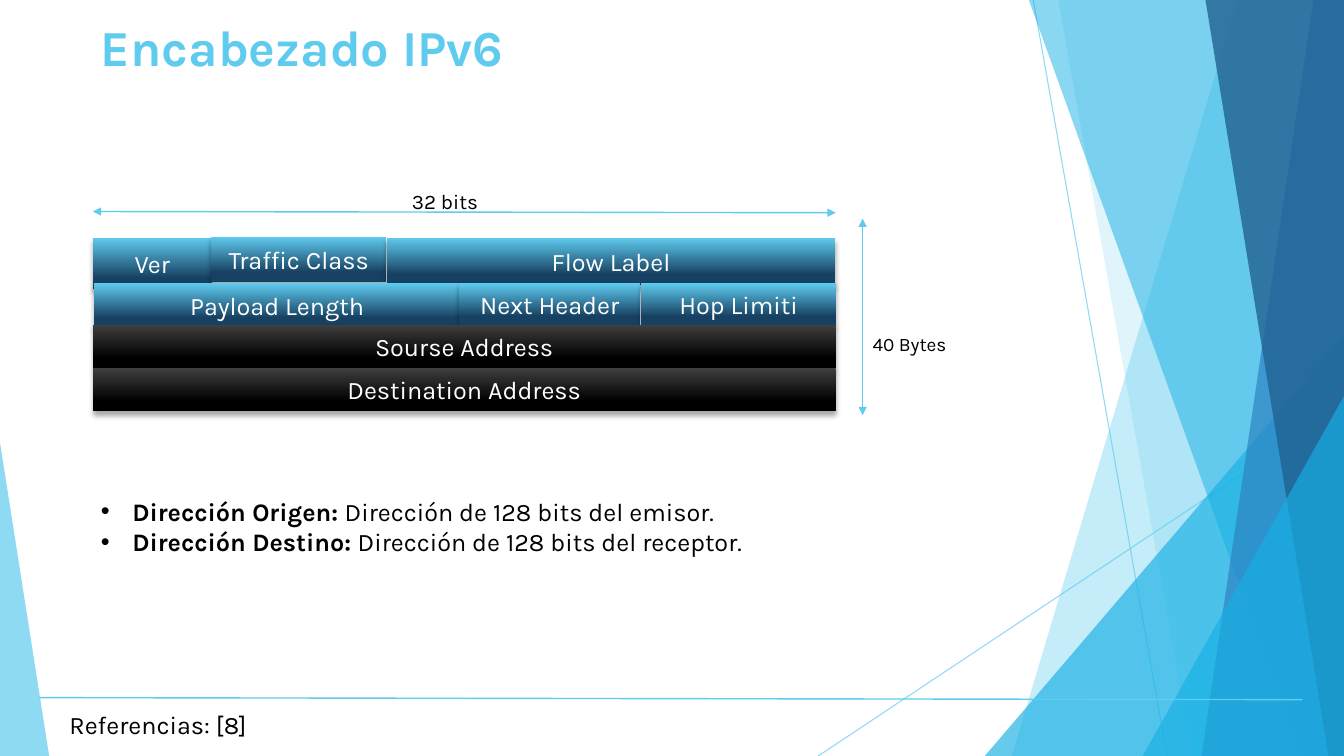
"""Build the slide that explains the IPv6 header."""
from dataclasses import dataclass

from lxml.etree import SubElement
from pptx import Presentation
from pptx.dml.color import RGBColor
from pptx.enum.shapes import MSO_CONNECTOR as Connector, MSO_SHAPE as Shape
from pptx.enum.text import MSO_ANCHOR as Anchor, MSO_AUTO_SIZE as AutoSize, PP_ALIGN as Align
from pptx.oxml.ns import qn
from pptx.util import Cm, Pt

WIDTH, HEIGHT = 33.87, 19.05


@dataclass(frozen=True)
class Theme:
    font: str = "Karla"
    sky: str = "5FCBEF"
    cyan: str = "17B0E4"
    blue: str = "2E83C3"
    navy: str = "226292"
    text: str = "000000"
    inverse: str = "FFFFFF"
    blue_gradient: tuple = ("5FCBEF", "174162")
    black_gradient: tuple = ("3F3F3F", "000000")
    title_size: float = 36
    body_size: float = 18
    width_label_size: float = 14.8
    height_label_size: float = 13.6


class HeaderSlide:
    def __init__(self, slide, theme):
        self.slide = slide
        self.shapes = slide.shapes
        self.theme = theme

    def style(self, paragraph, size, color, bold=False):
        font = paragraph.font
        font.name = self.theme.font
        font.size = Pt(size)
        font.bold = bold
        font.color.rgb = RGBColor.from_string(color)

    def place(self, shape, left, top, width, height):
        shape.left, shape.top = Cm(left), Cm(top)
        shape.width, shape.height = Cm(width), Cm(height)

    def set_opacity(self, shape, percent):
        for color in shape._element.spPr.iter(qn("a:srgbClr")):
            SubElement(color, qn("a:alpha"), val=str(percent * 1000))

    def paint(self, shape, color, opacity):
        shape.shadow.inherit = False
        shape.fill.solid()
        shape.fill.fore_color.rgb = RGBColor.from_string(color)
        shape.line.fill.background()
        self.set_opacity(shape, opacity)

    def band(self, top_x, bottom_x, color, opacity):
        builder = self.shapes.build_freeform(Cm(top_x), Cm(0), scale=1.0)
        corners = [(WIDTH, 0), (WIDTH, HEIGHT), (bottom_x, HEIGHT)]
        builder.add_line_segments([(Cm(x), Cm(y)) for x, y in corners], close=True)
        self.paint(builder.convert_to_shape(), color, opacity)

    def triangle(self, left, top, width, apex, color, opacity):
        shape = self.shapes.add_shape(
            Shape.ISOSCELES_TRIANGLE, Cm(left), Cm(top), Cm(width), Cm(HEIGHT - top))
        shape.adjustments[0] = apex
        self.paint(shape, color, opacity)

    def line(self, start, end, weight=1, opacity=100, arrows=False):
        points = [Cm(value) for value in (*start, *end)]
        connector = self.shapes.add_connector(Connector.STRAIGHT, *points)
        connector.line.width = Pt(weight)
        connector.line.color.rgb = RGBColor.from_string(self.theme.sky)
        if opacity < 100:
            self.set_opacity(connector, opacity)
        if arrows:
            outline = connector.line._get_or_add_ln()
            for tag in ("a:headEnd", "a:tailEnd"):
                SubElement(outline, qn(tag), type="triangle")
        SubElement(connector._element.spPr, qn("a:effectLst"))

    def field(self, text, left, top, width, height, gradient):
        shape = self.shapes.add_shape(
            Shape.RECTANGLE, Cm(left), Cm(top), Cm(width), Cm(height))
        shape.fill.gradient()
        shape.fill.gradient_angle = 270
        for stop, position, color in zip(shape.fill.gradient_stops, (0, 0.78), gradient):
            stop.position = position
            stop.color.rgb = RGBColor.from_string(color)
        shape.line.fill.background()
        shape.shadow.inherit = False
        effects = shape._element.spPr.find(qn("a:effectLst"))
        shadow = SubElement(effects, qn("a:outerShdw"), blurRad=str(Pt(4)),
                            dist=str(Pt(3)), dir="5400000", rotWithShape="0")
        color = SubElement(shadow, qn("a:srgbClr"), val=self.theme.text)
        SubElement(color, qn("a:alpha"), val="35000")
        shape.text_frame.vertical_anchor = Anchor.MIDDLE
        paragraph = shape.text_frame.paragraphs[0]
        paragraph.text = text
        paragraph.alignment = Align.CENTER
        self.style(paragraph, self.theme.body_size, self.theme.inverse)

    def text_box(self, text, left, top, width, height, size, wrap=True):
        box = self.shapes.add_textbox(Cm(left), Cm(top), Cm(width), Cm(height))
        box.text_frame.word_wrap = wrap
        paragraph = box.text_frame.paragraphs[0]
        paragraph.text = text
        self.style(paragraph, size, self.theme.text)
        return box

    def measure(self, text, left, top, size):
        box = self.text_box(text, left, top, 2.44, 0.71, size)
        paragraph = box.text_frame.paragraphs[0]
        paragraph.line_spacing = 0.7
        paragraph.space_before = Pt(10)

    def title(self, text):
        title = self.shapes.title
        self.place(title, 2.29, 0.28, 29.21, 3.68)
        title.text_frame.vertical_anchor = Anchor.TOP
        paragraph = title.text_frame.paragraphs[0]
        paragraph.text = text
        paragraph.alignment = Align.LEFT
        self.style(paragraph, self.theme.title_size, self.theme.sky, bold=True)

    def definitions(self, entries):
        body = self.slide.placeholders[1]
        self.place(body, 2.29, 12.37, 21.84, 1.8)
        frame = body.text_frame
        frame.auto_size = AutoSize.SHAPE_TO_FIT_TEXT
        for index, (term, meaning) in enumerate(entries):
            paragraph = frame.add_paragraph() if index else frame.paragraphs[0]
            properties = paragraph._p.get_or_add_pPr()
            properties.set("marL", str(Cm(0.79)))
            properties.set("indent", str(Cm(-0.79)))
            SubElement(properties, qn("a:buChar"), char="•")
            paragraph.space_before = Pt(0)
            self.style(paragraph, self.theme.body_size, self.theme.text)
            label = paragraph.add_run()
            label.text = f"{term}: "
            label.font.bold = True
            paragraph.add_run().text = meaning


def draw_background(page, theme):
    page.line((26.04, 0), (29.41, HEIGHT), weight=0.75, opacity=70)
    page.line((WIDTH, 10.24), (20.62, HEIGHT), weight=0.75, opacity=70)
    page.band(31.19, 25.5, theme.sky, 36)
    page.band(26.67, 30.05, theme.sky, 20)
    page.triangle(24.82, 8.46, 9.05, 1, theme.cyan, 66)
    page.band(25.93, 32.79, theme.cyan, 50)
    page.band(33.1, 30.28, theme.blue, 70)
    page.band(30.38, 33.48, theme.navy, 80)
    page.triangle(28.8, 9.98, 5.07, 1, theme.cyan, 66)
    page.triangle(0, 11.15, 1.24, 0, theme.sky, 70)


def draw_header(page, theme):
    blue_fields = [
        ("Ver", 2.34, 5.99, 3, 1.3),
        ("Traffic Class", 5.33, 5.97, 4.4, 1.14),
        ("Flow Label", 9.75, 5.99, 11.3, 1.19),
        ("Payload Length", 2.36, 7.14, 9.25, 1.12),
        ("Next Header", 11.58, 7.14, 4.55, 1.07),
        ("Hop Limiti", 16.15, 7.14, 4.93, 1.07),
    ]
    for field in blue_fields:
        page.field(*field, theme.blue_gradient)
    for row, text in enumerate(("Sourse Address", "Destination Address")):
        page.field(text, 2.34, 8.18 + row * 1.09, 18.72, 1.09, theme.black_gradient)
    page.line((2.34, 5.33), (21.06, 5.36), arrows=True)
    page.measure("32 bits", 10.13, 4.8, theme.width_label_size)
    page.line((21.74, 5.51), (21.74, 10.46), arrows=True)
    page.measure("40 Bytes", 21.74, 8.41, theme.height_label_size)


def main():
    presentation = Presentation()
    presentation.slide_width, presentation.slide_height = Cm(WIDTH), Cm(HEIGHT)
    slide = presentation.slides.add_slide(presentation.slide_layouts[1])
    theme = Theme()
    page = HeaderSlide(slide, theme)
    draw_background(page, theme)
    page.title("Encabezado IPv6")
    page.line((0.99, 17.58), (32.82, 17.63))
    references = page.text_box(
        "Referencias: [8]", 1.5, 17.75, 5.08, 1.02, theme.body_size, wrap=False)
    references.text_frame.auto_size = AutoSize.SHAPE_TO_FIT_TEXT
    page.definitions([
        ("Dirección Origen", "Dirección de 128 bits del emisor."),
        ("Dirección Destino", "Dirección de 128 bits del receptor."),
    ])
    draw_header(page, theme)
    presentation.save("out.pptx")


if __name__ == "__main__":
    main()
